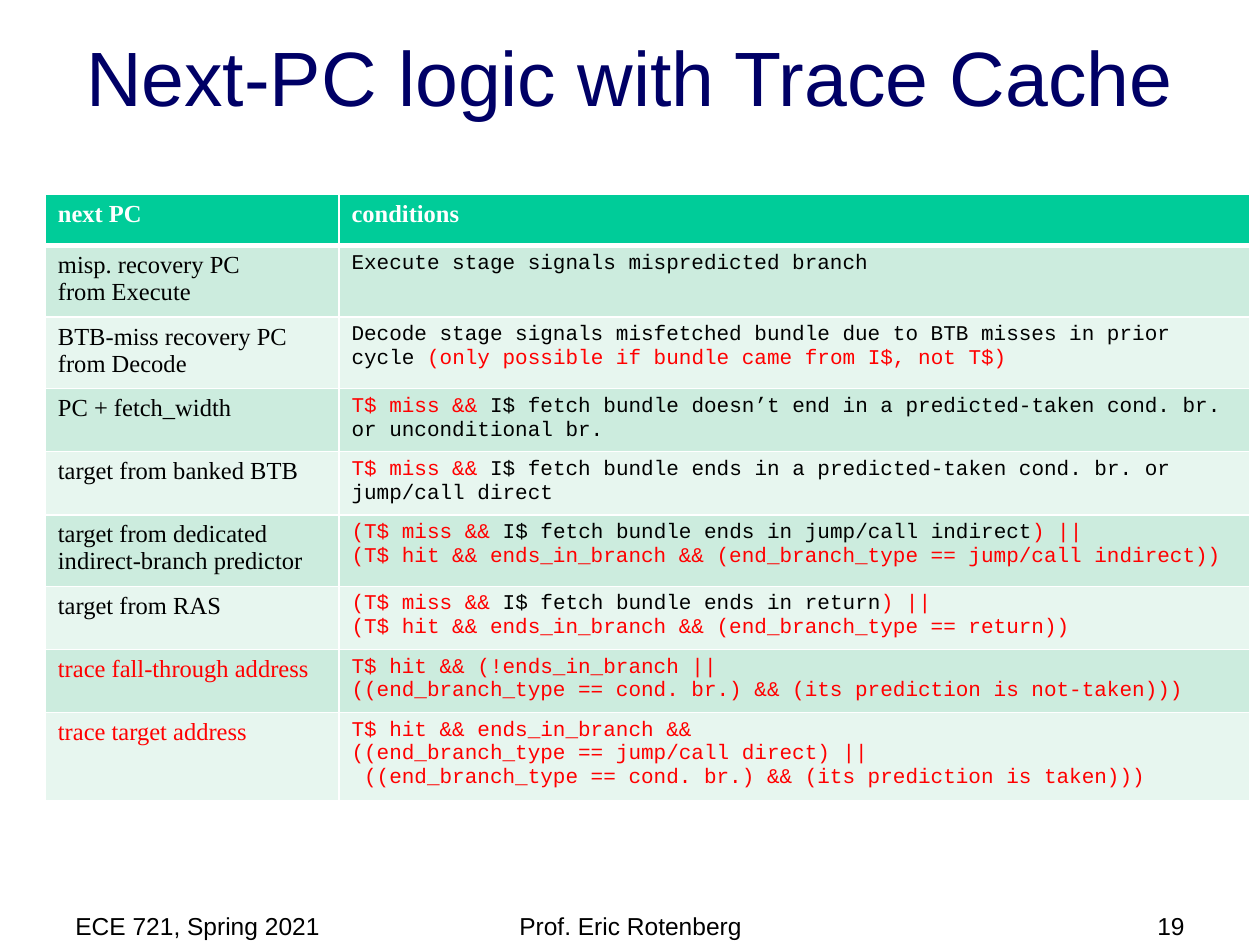
from dataclasses import dataclass
from lxml.etree import SubElement
from pptx import Presentation
from pptx.dml.color import RGBColor
from pptx.enum.text import MSO_ANCHOR as Anchor, PP_ALIGN as Align
from pptx.oxml.ns import qn
from pptx.util import Inches, Pt


@dataclass(frozen=True)
class Theme:
    """Colours, fonts and type sizes of the slide."""
    ink: str = "000000"
    accent: str = "FF0000"
    title: str = "000066"
    white: str = "FFFFFF"
    header: str = "00CC99"
    bands: tuple = ("CCECDE", "E7F6EF")
    sans: str = "Arial"
    serif: str = "Times New Roman"
    mono: str = "Courier New"
    title_size: int = 44
    label_size: int = 14
    code_size: int = 12


def write(frame, text, *, font, size, color, accent=None, bold=False, align=Align.LEFT):
    """Fill a text frame; ^ switches the accent colour, \\n starts a paragraph, \\v a line."""
    colors = (color, accent or color)
    switches = 0
    for index, content in enumerate(text.split("\n")):
        paragraph = frame.paragraphs[0] if index == 0 else frame.add_paragraph()
        paragraph.alignment = align
        for line_index, line in enumerate(content.split("\v")):
            if line_index:
                paragraph.add_line_break()
            for piece_index, piece in enumerate(line.split("^")):
                switches += piece_index > 0
                if not piece:
                    continue
                run = paragraph.add_run()
                run.text = piece
                run.font.name = font
                run.font.size = Pt(size)
                run.font.bold = bold
                run.font.color.rgb = RGBColor.from_string(colors[switches % 2])


class Deck:
    """Holds the theme and current slide, laid out on a grid of 100 columns by 75 rows."""

    def __init__(self, theme):
        """Create a presentation with one blank slide."""
        self.theme = theme
        self.presentation = Presentation()
        self.presentation.slide_width = Inches(10)
        self.presentation.slide_height = Inches(7.5)
        self.unit = self.presentation.slide_width // 100
        self.slide = self.presentation.slides.add_slide(self.presentation.slide_layouts[6])

    def grid(self, *lengths):
        """Turn grid columns and rows into slide lengths."""
        return [round(length * self.unit) for length in lengths]

    def text(self, box, text, anchor=Anchor.MIDDLE, **style):
        """Add a wrapped text box."""
        frame = self.slide.shapes.add_textbox(*self.grid(*box)).text_frame
        frame.word_wrap = True
        frame.vertical_anchor = anchor
        write(frame, text, **style)

    def border(self, cell, bottom):
        """Draw white cell borders with the given bottom width."""
        properties = cell._tc.get_or_add_tcPr()
        for side, width in (("L", 1), ("R", 1), ("T", 1), ("B", bottom)):
            line = SubElement(properties, qn(f"a:ln{side}"), w=str(Pt(width)))
            fill = SubElement(line, qn("a:solidFill"))
            SubElement(fill, qn("a:srgbClr"), val=self.theme.white)

    def table(self, left, top, widths, row_height, rows):
        """Add a banded table with a header row."""
        theme = self.theme
        box = self.grid(left, top, sum(widths), row_height * len(rows))
        table = self.slide.shapes.add_table(len(rows), len(widths), *box).table
        for column, width in zip(table.columns, self.grid(*widths)):
            column.width = width
        body_styles = (
            dict(font=theme.serif, size=theme.label_size),
            dict(font=theme.mono, size=theme.code_size),
        )
        for row_index, row in enumerate(rows):
            is_header = row_index == 0
            color = theme.header if is_header else theme.bands[(row_index - 1) % 2]
            for column_index, text in enumerate(row):
                cell = table.cell(row_index, column_index)
                self.border(cell, bottom=3 if is_header else 1)
                cell.fill.solid()
                cell.fill.fore_color.rgb = RGBColor.from_string(color)
                style = body_styles[0 if is_header else column_index]
                write(cell.text_frame, text, bold=is_header, accent=theme.accent,
                      color=theme.white if is_header else theme.ink, **style)


ROWS = [
    ("next PC", "conditions"),
    ("misp. recovery PC\vfrom Execute", "Execute stage signals mispredicted branch"),
    ("BTB-miss recovery PC from Decode",
     "Decode stage signals misfetched bundle due to BTB misses in prior cycle "
     "^(only possible if bundle came from I$, not T$)"),
    ("PC + fetch_width",
     "^T$ miss && ^I$ fetch bundle doesn’t end in a predicted-taken cond. br. "
     "or unconditional br."),
    ("target from banked BTB",
     "^T$ miss && ^I$ fetch bundle ends in a predicted-taken cond. br. or jump/call direct"),
    ("target from dedicated indirect-branch predictor",
     "^(T$ miss && ^I$ fetch bundle ends in jump/call indirect^) ||\n"
     "(T$ hit && ends_in_branch && (end_branch_type == jump/call indirect))"),
    ("target from RAS",
     "^(T$ miss &&^ I$ fetch bundle ends in return^) ||\n"
     "(T$ hit && ends_in_branch && (end_branch_type == return))"),
    ("^trace fall-through address",
     "^T$ hit && (!ends_in_branch ||\n"
     "((end_branch_type == cond. br.) && (its prediction is not-taken)))"),
    ("^trace target address",
     "^T$ hit && ends_in_branch &&\v((end_branch_type == jump/call direct) ||\v"
     " ((end_branch_type == cond. br.) && (its prediction is taken)))"),
]
FOOTERS = [
    (5, 23.3, "ECE 721, Spring 2021", Align.LEFT),
    (34.2, 31.7, "Prof. Eric Rotenberg", Align.CENTER),
    (71.7, 23.3, "19", Align.RIGHT),
]

theme = Theme()
deck = Deck(theme)
deck.text((0, 1.8, 100, 8.4), "Next-PC logic with Trace Cache", Anchor.BOTTOM,
          font=theme.sans, size=theme.title_size, color=theme.title, align=Align.CENTER)
deck.table(3.6, 15.4, (23.3, 72.3), 4.1, ROWS)
for left, width, text, align in FOOTERS:
    deck.text((left, 71.5, width, 4), text, font=theme.sans,
              size=theme.label_size, color=theme.ink, align=align)
deck.presentation.save("out.pptx")
